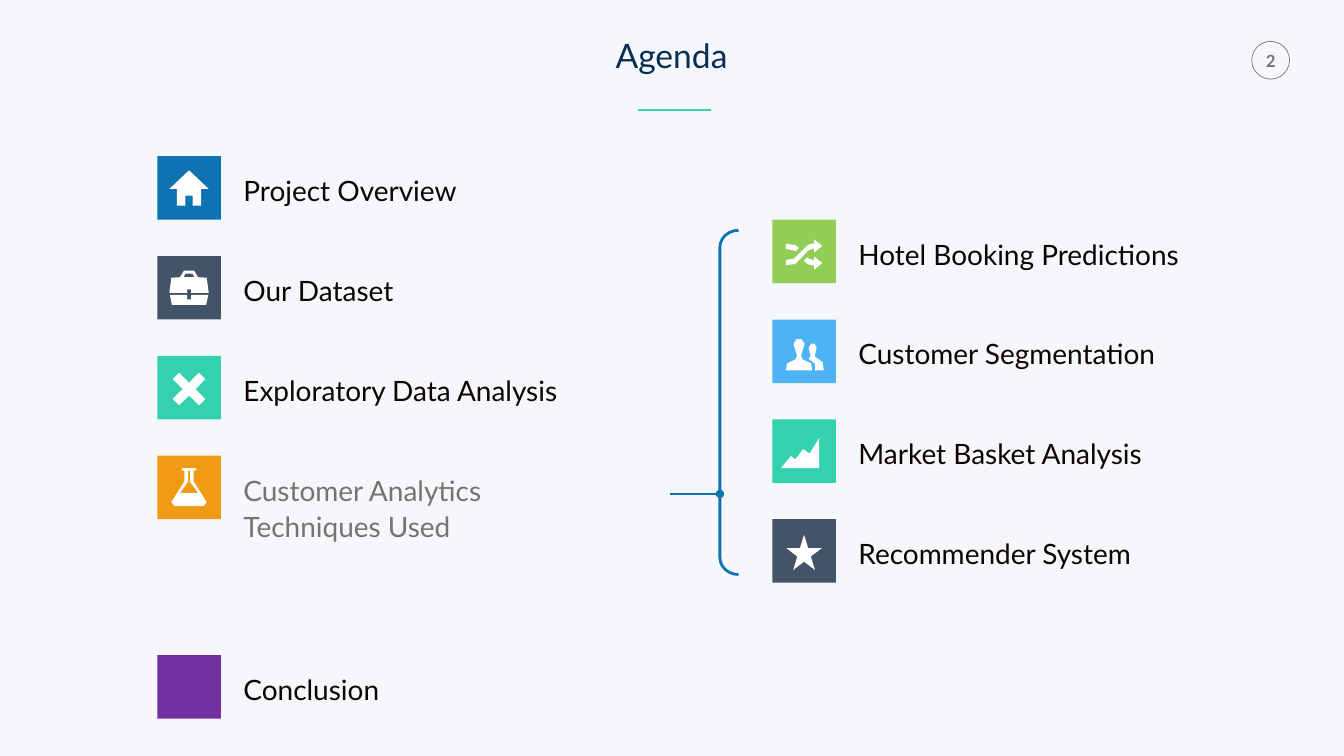
from dataclasses import dataclass

import pptx
import pptx.dml.color
import pptx.enum.shapes
import pptx.enum.text
import pptx.oxml
import pptx.util
from pptx.oxml import ns

Inches = pptx.util.Inches
Shape = pptx.enum.shapes.MSO_SHAPE
Align = pptx.enum.text.PP_ALIGN


@dataclass(frozen=True)
class Theme:
    font: str = "Lato"
    title_size: int = 48
    label_size: int = 40
    number_size: int = 24
    background: str = "F6F7FA"
    title: str = "072F54"
    text: str = "0E0503"
    muted: str = "737572"
    white: str = "FFFFFF"
    blue: str = "0D73B2"
    slate: str = "445468"
    teal: str = "33D1AD"
    orange: str = "F19A14"
    purple: str = "7030A0"
    green: str = "91CE55"
    sky: str = "4DB3F2"


THEME = Theme()

# Grid in inches: two columns of square tiles sharing one row pitch
WIDTH, HEIGHT = 26.66, 15
TILE = 1.26
PITCH = 1.98
LEFT_COLUMN, RIGHT_COLUMN = 3.12, 15.32
TOP = 3.1
LABEL_X, LABEL_Y = 1.61, 0.23
LINE_HEIGHT = 0.8
SPINE_X, BRANCH_Y = 14.28, 9.8


def mirror(half, center=63):
    """Complete an outline from its right half."""
    return half + [(2 * center - x, y) for x, y in reversed(half)]


def flip(points, center=69):
    """Turn points upside down."""
    return [(x, 2 * center - y) for x, y in points]


# Icon outlines, in hundredths of an inch from the tile's corner
ARROW_HEAD = [(83, 57), (83, 65), (99, 52), (83, 39), (83, 47), (72, 49)]
ARROW_TAIL = [(43, 77), (27, 80), (27, 90), (45, 88)]
ICONS = {
    "house": [mirror([(63, 28), (102, 65), (87, 65), (87, 98), (70, 98), (70, 78)])],
    "briefcase": [
        mirror([(73, 29), (81, 42), (98, 43), (102, 73), (67, 73), (67, 66)]),
        mirror([(70, 35), (74, 42)]),
        mirror([(67, 86), (67, 77), (101, 77), (97, 97)])],
    "flask": [
        mirror([(77, 25), (77, 30), (72, 30), (72, 51), (98, 92), (92, 100)]),
        mirror([(65, 30), (65, 52), (81, 74)])],
    "shuffle": [
        ARROW_HEAD + [(54, 66)] + ARROW_TAIL + [(62, 71), (71, 61)],
        flip(ARROW_HEAD) + [(63, 82), (68, 75)],
        flip(ARROW_TAIL) + [(53, 56), (46, 63)]],
    "people": [
        mirror([(58, 39), (64, 48), (57, 72), (60, 79), (77, 87), (79, 101)], center=53),
        [(77, 48), (84, 48), (88, 56), (84, 73), (100, 85), (102, 101),
         (85, 101), (85, 88), (72, 78), (76, 73), (72, 56)]],
    "chart": [[(93, 37), (74, 68), (61, 59), (46, 79), (37, 73), (17, 97), (93, 97)]],
}
# Icons that are preset shapes: kind, center x, center y, size, adjustment
PRESET_ICONS = {
    "cross": (Shape.MATH_MULTIPLY, 0.63, 0.66, 1.0, 0.18),
    "star": (Shape.STAR_5_POINT, 0.63, 0.66, 0.7, None),
}

# Row, label, label width, label lines, tile colour, icon, text colour
AGENDA = [
    (0, "Project Overview", 5.33, 1, THEME.blue, "house", THEME.text),
    (1, "Our Dataset", 5.33, 1, THEME.slate, "briefcase", THEME.text),
    (2, "Exploratory Data Analysis", 7.06, 1, THEME.teal, "cross", THEME.text),
    (3, "Customer Analytics Techniques Used", 6.59, 2, THEME.orange, "flask", THEME.muted),
    (5, "Conclusion", 7.06, 1, THEME.purple, None, THEME.text),
]
TECHNIQUES = [
    (0, "Hotel Booking Predictions", 6.97, 1, THEME.green, "shuffle", THEME.text),
    (1, "Customer Segmentation", 6.47, 1, THEME.sky, "people", THEME.text),
    (2, "Market Basket Analysis", 7.29, 1, THEME.teal, "chart", THEME.text),
    (3, "Recommender System", 6.97, 1, THEME.slate, "star", THEME.text),
]


def rgb(value):
    return pptx.dml.color.RGBColor.from_string(value)


def paint(shape, fill=None, line=None, width=1):
    shape.shadow.inherit = False
    if fill:
        shape.fill.solid()
        shape.fill.fore_color.rgb = rgb(fill)
    else:
        shape.fill.background()
    if line:
        shape.line.color.rgb = rgb(line)
        shape.line.width = pptx.util.Pt(width)
    else:
        shape.line.fill.background()


def write(box, text, size, color, spacing=1.0, align=Align.LEFT, wrap=True, bold=False):
    frame = box.text_frame
    frame.text = text
    frame.word_wrap = wrap
    frame.auto_size = pptx.enum.text.MSO_AUTO_SIZE.SHAPE_TO_FIT_TEXT
    frame.vertical_anchor = pptx.enum.text.MSO_ANCHOR.TOP
    para = frame.paragraphs[0]
    para.alignment = align
    para.line_spacing = spacing
    para.font.name = THEME.font
    para.font.size = pptx.util.Pt(size)
    para.font.bold = bold
    para.font.color.rgb = rgb(color)


def add_line(page, x1, x2, y, color, width, end=None):
    line = page.shapes.add_connector(pptx.enum.shapes.MSO_CONNECTOR.STRAIGHT,
                                     *map(Inches, (x1, y, x2, y)))
    line.line.color.rgb = rgb(color)
    line.line.width = pptx.util.Pt(width)
    properties = line._element.spPr
    if end:
        tail = pptx.oxml.parse_xml(f'<a:tailEnd {ns.nsdecls("a")} type="{end}"/>')
        properties.find(ns.qn("a:ln")).append(tail)
    properties.append(pptx.oxml.parse_xml(f'<a:effectLst {ns.nsdecls("a")}/>'))


def add_icon(shapes, name, x, y):
    if name in PRESET_ICONS:
        kind, center_x, center_y, size, adjustment = PRESET_ICONS[name]
        corner = x + center_x - size / 2, y + center_y - size / 2
        icon = shapes.add_shape(kind, *map(Inches, (*corner, size, size)))
        if adjustment:
            icon.adjustments[0] = adjustment
    else:
        first, *others = ICONS[name]
        builder = shapes.build_freeform(*first[0], scale=Inches(0.01))
        builder.add_line_segments(first[1:], close=True)
        for outline in others:
            builder.move_to(*outline[0])
            builder.add_line_segments(outline[1:], close=True)
        icon = builder.convert_to_shape(Inches(x), Inches(y))
    paint(icon, THEME.white)


def add_item(shapes, x, top, item):
    row, label, width, lines, color, icon, text_color = item
    y = top + row * PITCH
    tile = shapes.add_shape(Shape.RECTANGLE, *map(Inches, (x, y, TILE, TILE)))
    paint(tile, color)
    height = LINE_HEIGHT + (lines - 1) * 0.72
    box = shapes.add_textbox(*map(Inches, (x + LABEL_X, y + LABEL_Y, width, height)))
    write(box, label, THEME.label_size, text_color, spacing=1.1)
    if icon:
        add_icon(shapes, icon, x, y)


def add_header(page):
    # Title and its underline
    title = page.shapes.title
    title.left, title.top, title.width, title.height = map(Inches, (12.07, 0.74, 2.5, 0.83))
    write(title, "Agenda", THEME.title_size, THEME.title, 0.9, Align.CENTER, wrap=False)
    add_line(page, 12.66, 14.1, 2.18, THEME.teal, 3)
    # Page number in its ring
    ring = page.shapes.add_shape(Shape.OVAL, *map(Inches, (24.83, 0.82, 0.75, 0.75)))
    paint(ring, line=THEME.muted)
    number = page.shapes.add_textbox(*map(Inches, (24.8, 0.9, 0.81, 0.61)))
    frame = number.text_frame
    frame.margin_left = frame.margin_right = Inches(0.2)
    frame.margin_top = frame.margin_bottom = Inches(0.1)
    write(number, "2", THEME.number_size, THEME.muted, align=Align.CENTER, wrap=False, bold=True)


def add_bracket(page):
    bracket = page.shapes.add_shape(Shape.LEFT_BRACKET, *map(Inches, (SPINE_X, 4.57, 0.37, 6.83)))
    bracket.adjustments[0] = 0.91
    paint(bracket, line=THEME.blue, width=4)
    add_line(page, SPINE_X - 0.99, SPINE_X, BRANCH_Y, THEME.blue, 4, end="oval")


def main():
    deck = pptx.Presentation()
    deck.slide_width, deck.slide_height = Inches(WIDTH), Inches(HEIGHT)
    page = deck.slides.add_slide(deck.slide_layouts[5])
    page.background.fill.solid()
    page.background.fill.fore_color.rgb = rgb(THEME.background)
    add_header(page)
    for item in AGENDA:
        add_item(page.shapes, LEFT_COLUMN, TOP, item)
    # The techniques start one tile lower, each as a group
    for item in TECHNIQUES:
        add_item(page.shapes.add_group_shape().shapes, RIGHT_COLUMN, TOP + TILE, item)
    add_bracket(page)
    deck.save("out.pptx")


if __name__ == "__main__":
    main()
